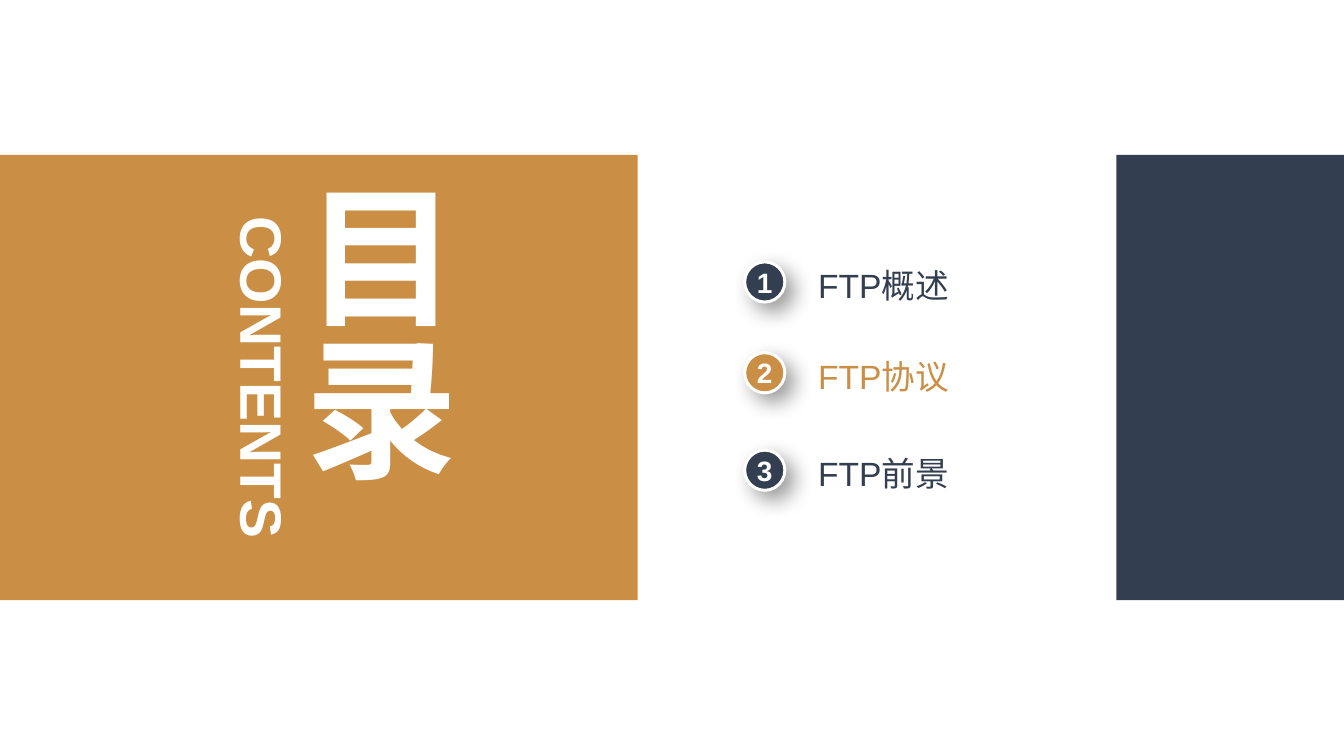
"""Build a contents slide with a title panel and three numbered entries."""

import dataclasses

import pptx
import pptx.dml.color
import pptx.enum.shapes
import pptx.enum.text
import pptx.oxml
import pptx.oxml.ns
import pptx.shapes.autoshape
import pptx.slide
import pptx.util

Inches = pptx.util.Inches
ALIGN = pptx.enum.text.PP_ALIGN
ANCHOR = pptx.enum.text.MSO_ANCHOR
SHAPES = pptx.enum.shapes.MSO_SHAPE

COLORS = {"gold": "CA8F45", "navy": "333F50", "white": "FFFFFF"}
FONT = "Arial"
PANEL_TOP, PANEL_HEIGHT = 1.62, 4.66
BADGE_LEFT, BADGE_SIZE = 7.79, 0.42
LABEL_LEFT, LABEL_WIDTH, LABEL_HEIGHT = 8.56, 2.7, 0.43
LABEL_DROP = 0.03
SHADOW_XML = (
    f'<a:effectLst {pptx.oxml.ns.nsdecls("a")}>'
    '<a:outerShdw blurRad="203200" dist="114300" dir="2700000" algn="tl" rotWithShape="0">'
    '<a:srgbClr val="000000"><a:alpha val="40000"/></a:srgbClr>'
    "</a:outerShdw></a:effectLst>"
)


@dataclasses.dataclass(frozen=True)
class Panel:
    left: float
    width: float
    color: str


@dataclasses.dataclass(frozen=True)
class Entry:
    title: str
    top: float
    color: str


@dataclasses.dataclass(frozen=True)
class TextStyle:
    size: float
    color: str
    bold: bool = False
    align: ALIGN = ALIGN.CENTER
    anchor: ANCHOR = ANCHOR.MIDDLE


PANELS = [Panel(-0.03, 6.7, "gold"), Panel(11.68, 2.41, "navy")]
ENTRIES = [
    Entry("FTP概述", 2.74, "navy"),
    Entry("FTP协议", 3.69, "gold"),
    Entry("FTP前景", 4.71, "navy"),
]
BADGE_STYLE = TextStyle(21.1, "white", bold=True)
TITLE_STYLE = TextStyle(115, "white", bold=True)
SUBTITLE_STYLE = TextStyle(44, "white", bold=True, anchor=ANCHOR.TOP)


def rgb(name: str) -> pptx.dml.color.RGBColor:
    return pptx.dml.color.RGBColor.from_string(COLORS[name])


def write_text(shape: pptx.shapes.autoshape.Shape, text: str, style: TextStyle) -> None:
    frame = shape.text_frame
    frame.text = text
    frame.word_wrap = True
    frame.vertical_anchor = style.anchor
    frame.margin_left = frame.margin_right = frame.margin_top = frame.margin_bottom = 0
    paragraph = frame.paragraphs[0]
    paragraph.alignment = style.align
    font = paragraph.runs[0].font
    font.name = FONT
    font.size = pptx.util.Pt(style.size)
    font.bold = style.bold
    font.color.rgb = rgb(style.color)


def add_text(
    slide: pptx.slide.Slide, left: float, top: float, width: float, height: float,
    text: str, style: TextStyle,
) -> pptx.shapes.autoshape.Shape:
    box = slide.shapes.add_textbox(Inches(left), Inches(top), Inches(width), Inches(height))
    write_text(box, text, style)
    box.text_frame.auto_size = pptx.enum.text.MSO_AUTO_SIZE.SHAPE_TO_FIT_TEXT
    return box


def add_panel(slide: pptx.slide.Slide, panel: Panel) -> None:
    shape = slide.shapes.add_shape(
        SHAPES.RECTANGLE, Inches(panel.left), Inches(PANEL_TOP),
        Inches(panel.width), Inches(PANEL_HEIGHT),
    )
    shape.shadow.inherit = False
    shape.fill.solid()
    shape.fill.fore_color.rgb = rgb(panel.color)
    shape.line.fill.background()


def add_entry(slide: pptx.slide.Slide, number: int, entry: Entry) -> None:
    badge = slide.shapes.add_shape(
        SHAPES.OVAL, Inches(BADGE_LEFT), Inches(entry.top),
        Inches(BADGE_SIZE), Inches(BADGE_SIZE),
    )
    badge.fill.solid()
    badge.fill.fore_color.rgb = rgb(entry.color)
    badge.line.color.rgb = rgb("white")
    badge.line.width = pptx.util.Pt(2.25)
    badge.element.spPr.append(pptx.oxml.parse_xml(SHADOW_XML))
    write_text(badge, str(number), BADGE_STYLE)
    label_style = TextStyle(25.3, entry.color, align=ALIGN.LEFT)
    add_text(
        slide, LABEL_LEFT, entry.top + LABEL_DROP, LABEL_WIDTH, LABEL_HEIGHT,
        entry.title, label_style,
    )


def add_heading(slide: pptx.slide.Slide) -> None:
    title = add_text(slide, 2.97, 1.88, 1.94, 4.15, "目录", TITLE_STYLE)
    title.element.find(".//" + pptx.oxml.ns.qn("a:bodyPr")).set("vert", "eaVert")
    subtitle = add_text(slide, 0.95, 3.58, 3.61, 0.74, "CONTENTS", SUBTITLE_STYLE)
    subtitle.rotation = 90


def main() -> None:
    presentation = pptx.Presentation()
    presentation.slide_width = Inches(14.06)
    presentation.slide_height = Inches(7.91)
    slide = presentation.slides.add_slide(presentation.slide_layouts[6])
    for panel in PANELS:
        add_panel(slide, panel)
    add_heading(slide)
    for number, entry in enumerate(ENTRIES, start=1):
        add_entry(slide, number, entry)
    presentation.save("out.pptx")


if __name__ == "__main__":
    main()
